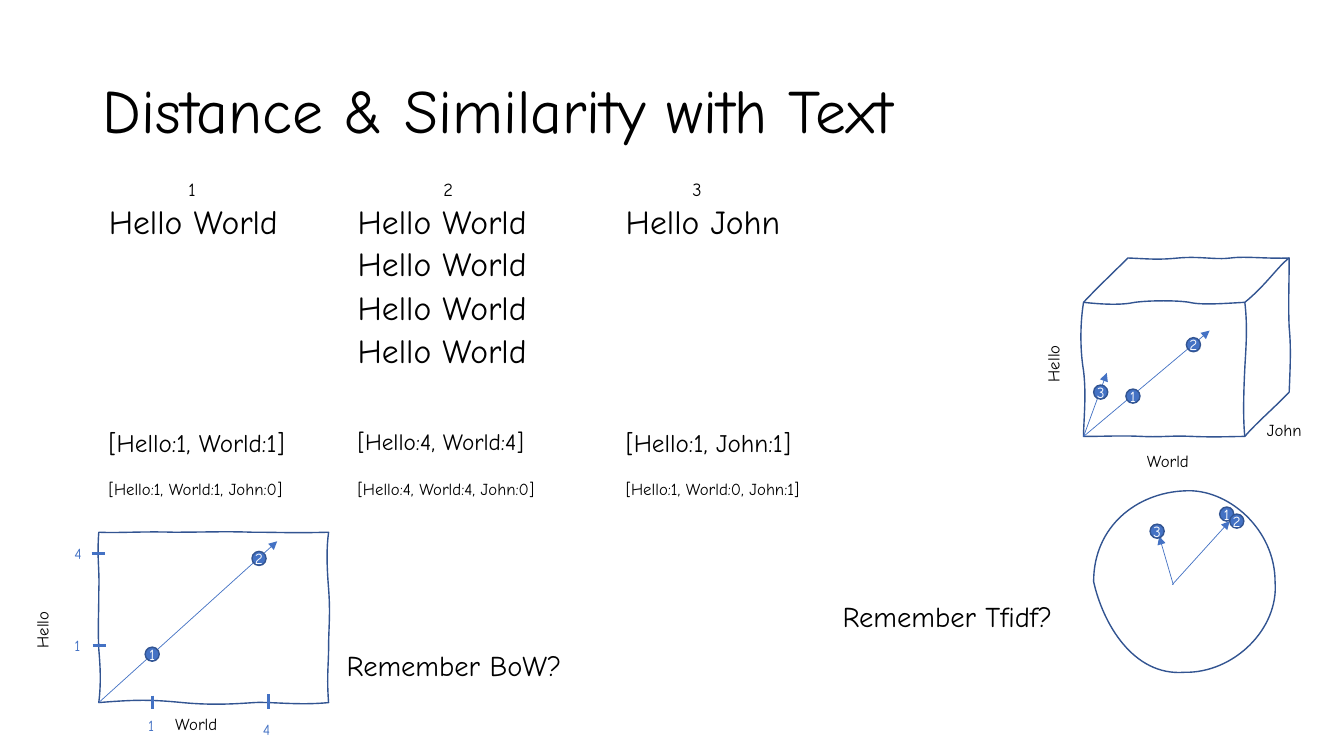
from lxml.etree import SubElement
from pptx import Presentation
from pptx.dml.color import RGBColor
from pptx.enum.shapes import MSO_CONNECTOR, MSO_SHAPE
from pptx.enum.text import MSO_ANCHOR, MSO_AUTO_SIZE, PP_ALIGN
from pptx.oxml.ns import qn
from pptx.util import Inches, Pt

PX = 9144  # EMU in one px, 100 px to the inch
FONT = "Comic Neue"
BLACK = RGBColor(0x00, 0x00, 0x00)
WHITE = RGBColor(0xFF, 0xFF, 0xFF)
BLUE = RGBColor(0x44, 0x72, 0xC4)
NAVY = RGBColor(0x32, 0x54, 0x91)

# Hand-drawn outlines: a start point, then three points for each curve
CIRCLE = [(1085, 577), (1085, 522), (1128, 489), (1175, 487),
          (1218, 484), (1265, 525), (1265, 577),
          (1269, 624), (1224, 668), (1175, 667),
          (1124, 671), (1094, 618), (1085, 577)]
FRAME = [(98, 528), (117, 529), (141, 527), (172, 528),
         (203, 528), (223, 527), (250, 528),
         (277, 528), (290, 529), (326, 528),
         (324, 543), (324, 559), (326, 584),
         (328, 609), (326, 624), (326, 642),
         (326, 660), (324, 671), (326, 697),
         (296, 700), (268, 696), (252, 697),
         (237, 698), (212, 700), (181, 697),
         (150, 694), (135, 694), (98, 697),
         (100, 681), (100, 666), (98, 644),
         (97, 621), (98, 611), (98, 587),
         (99, 564), (96, 555), (98, 528)]
CUBE = [(1075, 300), (1088, 286), (1106, 269), (1119, 256),
        (1143, 257), (1148, 258), (1169, 256),
        (1190, 254), (1206, 258), (1221, 256),
        (1235, 254), (1259, 257), (1279, 256),
        (1279, 278), (1278, 305), (1279, 325),
        (1281, 345), (1280, 364), (1279, 389),
        (1266, 403), (1246, 420), (1235, 433),
        (1224, 433), (1206, 434), (1183, 433),
        (1160, 432), (1154, 434), (1133, 433),
        (1111, 432), (1099, 433), (1075, 433),
        (1075, 418), (1078, 392), (1075, 368),
        (1071, 344), (1072, 318), (1075, 300)]
RIM = [(1075, 300), (1093, 302), (1112, 303), (1126, 300),
       (1141, 298), (1168, 298), (1180, 300),
       (1192, 303), (1216, 301), (1235, 300),
       (1256, 283), (1268, 264), (1279, 256)]
EDGE = [(1235, 300), (1238, 325), (1236, 346), (1235, 365),
        (1234, 385), (1233, 415), (1235, 433)]


def write(shape, text, size, color=BLACK, space=1.0, align=PP_ALIGN.LEFT):
    frame = shape.text_frame
    frame.auto_size = MSO_AUTO_SIZE.NONE
    para = frame.paragraphs[0]
    para.add_run().text = text
    para.alignment = align
    para.line_spacing = space
    para.space_before = Pt(0)
    para.font.name = FONT
    para.font.size = Pt(size)
    para.font.color.rgb = color
    return frame


def place(shape, x, y, w, h):
    shape.left, shape.top = x * PX, y * PX
    shape.width, shape.height = w * PX, h * PX


def label(slide, text, x, y, w, h, size, space=0.9, turn=0):
    box = slide.shapes.add_textbox(x * PX, y * PX, w * PX, h * PX)
    write(box, text, size, space=space).word_wrap = True
    box.rotation = turn


def tick(slide, text, x, y, line):
    box = slide.shapes.add_textbox(x * PX, y * PX, 28 * PX, 29 * PX)
    write(box, text, 11, BLUE).word_wrap = False
    stroke(slide, *line, 2.25)


def stroke(slide, x1, y1, x2, y2, width, arrow=False):
    line = slide.shapes.add_connector(
        MSO_CONNECTOR.STRAIGHT, x1 * PX, y1 * PX, x2 * PX, y2 * PX)
    line.line.color.rgb = BLUE
    line.line.width = Pt(width)
    if arrow:
        SubElement(line.line._get_or_add_ln(), qn("a:tailEnd"), type="triangle")
    SubElement(line._element.spPr, qn("a:effectLst"))


def dot(slide, text, x, y):
    ball = slide.shapes.add_shape(
        MSO_SHAPE.OVAL, x * PX, y * PX, 14 * PX, 14 * PX)
    ball.shadow.inherit = False
    ball.fill.solid()
    ball.fill.fore_color.rgb = BLUE
    ball.line.color.rgb = NAVY
    ball.line.width = Pt(1)
    frame = write(ball, text, 11, WHITE, align=PP_ALIGN.CENTER)
    frame.word_wrap = False
    frame.vertical_anchor = MSO_ANCHOR.MIDDLE
    frame.margin_left = frame.margin_right = 0
    frame.margin_top = frame.margin_bottom = 0


def sketch(slide, outline, *inner):
    pen = slide.shapes.build_freeform(*outline[0], scale=PX)
    pen.add_line_segments(outline[3::3], close=True)
    for curve in inner:
        pen.move_to(*curve[0])
        pen.add_line_segments(curve[3::3], close=False)
    shape = pen.convert_to_shape()
    bend(shape, [curve[i:i + 3] for curve in (outline, *inner)
                 for i in range(1, len(curve), 3)])
    shape.shadow.inherit = False
    shape.fill.background()
    shape.line.color.rgb = NAVY
    shape.line.width = Pt(1)


def bend(shape, curves):
    """Turn each straight segment into its cubic curve."""
    left, top = shape.left // PX, shape.top // PX
    lines = list(shape._element.iter(qn("a:lnTo")))
    for line, points in zip(lines, curves):
        line.tag = qn("a:cubicBezTo")
        line.remove(line[0])
        for x, y in points:
            SubElement(line, qn("a:pt"), x=str(x - left), y=str(y - top))


def main():
    deck = Presentation()
    deck.slide_width, deck.slide_height = Inches(13.3333), 750 * PX
    slide = deck.slides.add_slide(deck.slide_layouts[1])

    # Title and first text
    title, body = slide.shapes.title, slide.placeholders[1]
    place(title, 92, 40, 1150, 145)
    write(title, "Distance & Similarity with Text", 44,
          space=0.9).vertical_anchor = MSO_ANCHOR.MIDDLE
    place(body, 98, 202, 214, 43)
    props = body.text_frame.paragraphs[0]._p.get_or_add_pPr()
    props.set("marL", "0")
    props.set("indent", "0")
    SubElement(props, qn("a:buNone"))
    write(body, "Hello World", 24, space=0.8)

    # Other texts
    for row in range(4):
        label(slide, "Hello World", 345, 202 + 128 * row // 3, 214, 43, 24, 0.8)
    label(slide, "Hello John", 611, 202, 214, 43, 24, 0.8)

    # Number and word counts of each text
    columns = [
        ("1", 177, 98, "[Hello:1, World:1]", 18, "[Hello:1, World:1, John:0]"),
        ("2", 430, 345, "[Hello:4, World:4]", 16.6, "[Hello:4, World:4, John:0]"),
        ("3", 677, 611, "[Hello:1, John:1]", 18, "[Hello:1, World:0, John:1]"),
    ]
    for num, mid, x, short, size, full in columns:
        label(slide, num, mid, 178, 28, 27, 13.2, 0.7)
        label(slide, short, x, 422, 228, 51, size)
        label(slide, full, x, 472, 228, 51, 12)
    label(slide, "Remember BoW?", 334, 644, 258, 56, 20.4, 0.8)
    label(slide, "Remember Tfidf?", 826, 596, 258, 56, 20.4, 0.8)

    # Flat plot, cube and circle
    sketch(slide, FRAME)
    sketch(slide, CUBE, RIM, EDGE)
    sketch(slide, CIRCLE)

    # Axis names
    label(slide, "Hello", 22, 595, 65, 51, 12, turn=270)
    label(slide, "Hello", 1025, 331, 65, 51, 12, turn=270)
    label(slide, "World", 164, 707, 71, 27, 12, 0.8)
    label(slide, "World", 1128, 446, 71, 27, 12, 0.8)
    label(slide, "John", 1247, 414, 59, 28, 12)

    # Axis ticks
    tick(slide, "4", 64, 535, (91, 549, 104, 549))
    tick(slide, "1", 64, 626, (92, 640, 105, 640))
    tick(slide, "1", 137, 706, (151, 690, 151, 703))
    tick(slide, "4", 251, 709, (266, 689, 266, 703))

    # Vectors
    for ends in [(98, 697, 275, 537), (1075, 433, 1098, 370),
                 (1075, 433, 1200, 328), (1163, 580, 1220, 517),
                 (1164, 580, 1150, 532)]:
        stroke(slide, *ends, 0.5, arrow=True)

    # Numbered points
    for num, x, y in [("1", 144, 642), ("2", 250, 547),
                      ("1", 1117, 386), ("2", 1177, 335), ("3", 1085, 382),
                      ("1", 1210, 503), ("2", 1220, 510), ("3", 1141, 520)]:
        dot(slide, num, x, y)

    deck.save("out.pptx")


if __name__ == "__main__":
    main()
